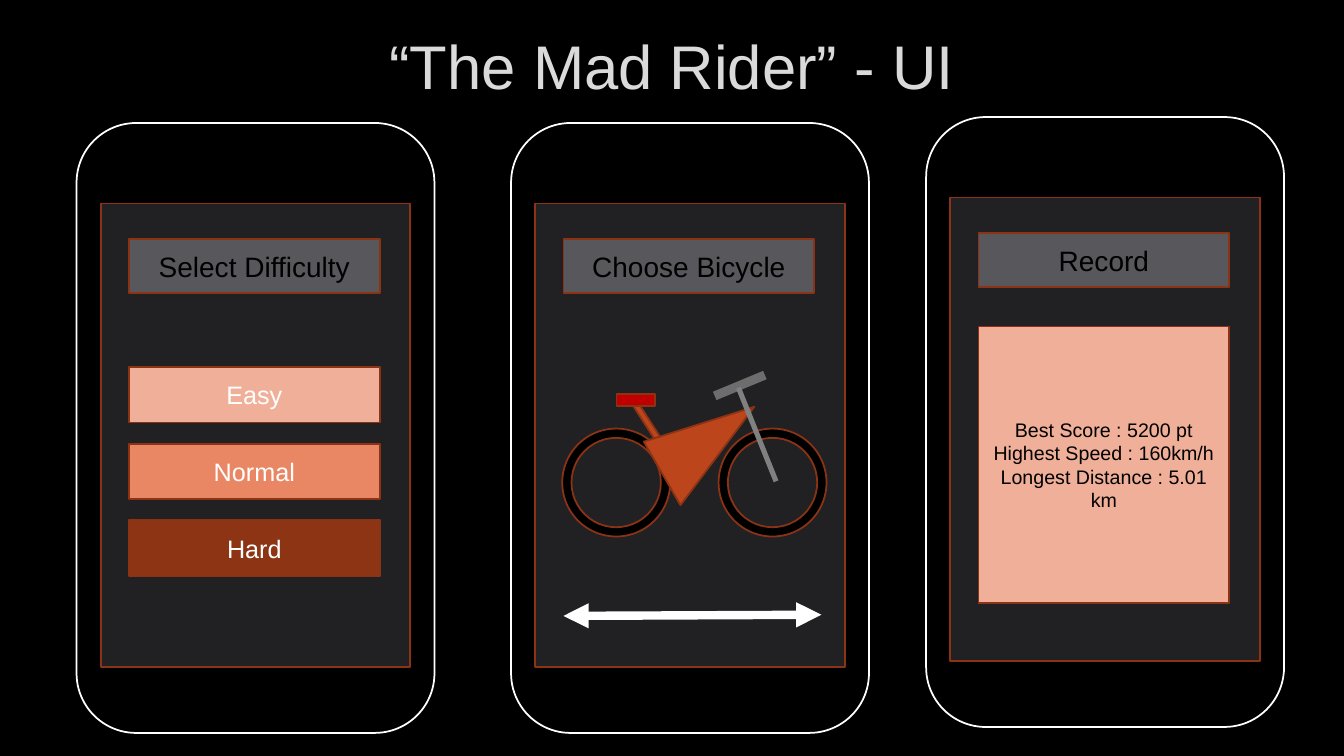
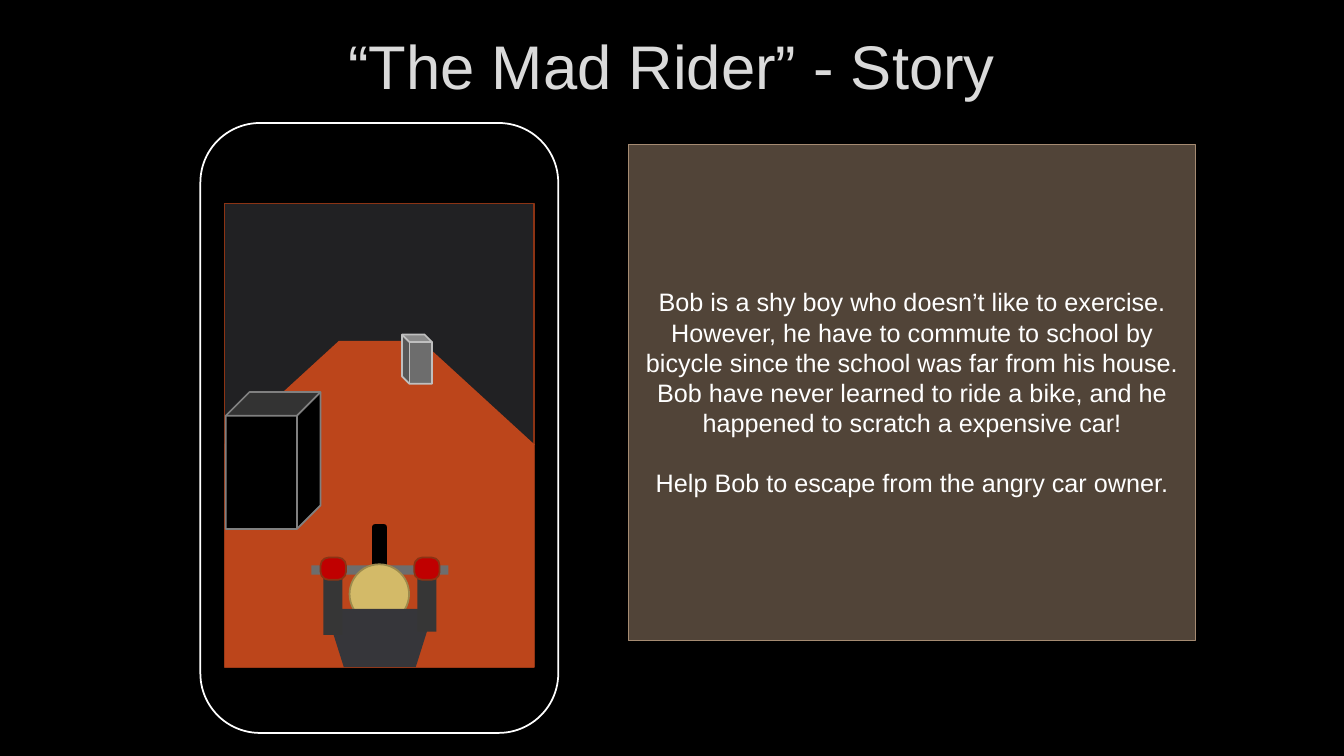
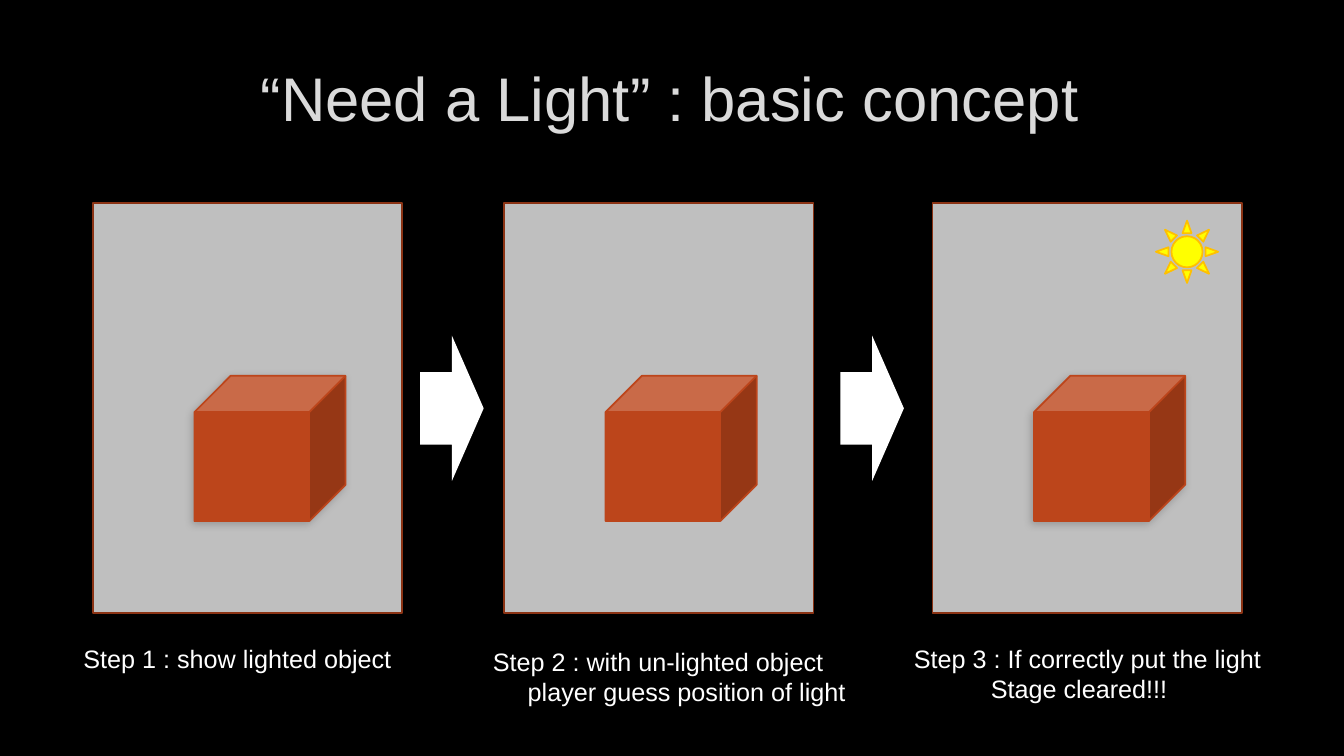
from lxml import etree
from pptx import Presentation
from pptx import util as u
from pptx.dml.color import RGBColor
from pptx.enum import shapes, text
from pptx.oxml.ns import qn

Cm, Pt = u.Cm, u.Pt
Kind = shapes.MSO_SHAPE

BLACK, WHITE, TITLE = "000000", "FFFFFF", "DADADA"
RUST, RUST_EDGE, RED = "BC451B", "8B3314", "C00000"
SCREEN, CAPTION, STEEL, GREY = "212123", "57575C", "6D6D6D", "808080"
PEACH, CORAL, BRICK = "F0AF98", "E98764", "8D3414"
JACKET, SLEEVE, SILVER = "36363A", "363636", "BFBFBF"

SLIDE_W, SLIDE_H = 33.87, 19.05
PHONE_W, PHONE_H = 9.02, 15.37
SCREEN_W, SCREEN_H = 7.8, 11.68
BUTTON_W = 6.32


def color(hex_value):
    return RGBColor.from_string(hex_value)


def child(parent, tag, **attributes):
    """Append a DrawingML element with the given attributes."""
    element = etree.SubElement(parent, qn(tag))
    for name, value in attributes.items():
        element.set(name, str(value))
    return element


class Deck:
    """Holds the shared style and the slide being filled."""

    def __init__(self):
        self.prs = Presentation()
        self.prs.slide_width, self.prs.slide_height = Cm(SLIDE_W), Cm(SLIDE_H)
        backdrop = self.prs.slide_master.background.fill
        backdrop.solid()
        backdrop.fore_color.rgb = color(BLACK)

    def new_slide(self, title, left=0, top=0.18, width=SLIDE_W, height=2.92):
        self.slide = self.prs.slides.add_slide(self.prs.slide_layouts[5])
        heading = self.slide.shapes.title
        box = dict(left=left, top=top, width=width, height=height)
        for name, value in box.items():
            setattr(heading, name, Cm(value))
        self.set_text(heading.text_frame, [title], 44, TITLE)

    def set_text(self, frame, lines, size, ink, align="CENTER", anchor="MIDDLE"):
        frame.word_wrap = True
        frame.auto_size = text.MSO_AUTO_SIZE.NONE
        frame.vertical_anchor = getattr(text.MSO_ANCHOR, anchor)
        style = dict(name="Arial", size=Pt(size), bold=False)
        for number, line in enumerate(lines):
            paragraph = frame.add_paragraph() if number else frame.paragraphs[0]
            paragraph.alignment = getattr(text.PP_ALIGN, align)
            run = paragraph.add_run()
            run.text = line
            for name, value in style.items():
                setattr(run.font, name, value)
            run.font.color.rgb = color(ink)

    def shape(self, kind, left, top, width, height, fill, edge=None, edge_width=1.25,
              turn=0, adjust=None, flip=False, opacity=None, shadow=None,
              lines=(), size=18, ink=WHITE):
        """Draw a preset shape; shadow is (opacity %, blur pt, distance pt, angle)."""
        part = self.slide.shapes.add_shape(kind, Cm(left), Cm(top), Cm(width), Cm(height))
        part.rotation = turn
        part.fill.solid()
        part.fill.fore_color.rgb = color(fill)
        if edge:
            part.line.color.rgb = color(edge)
            part.line.width = Pt(edge_width)
        else:
            part.line.fill.background()
        if adjust is not None:
            part.adjustments[0] = adjust
        part.shadow.inherit = False
        properties = part._element.spPr
        if flip:
            properties.find(qn("a:xfrm")).set("flipH", "1")
        if opacity:
            tint = properties.find(qn("a:solidFill")).find(qn("a:srgbClr"))
            child(tint, "a:alpha", val=opacity * 1000)
        if shadow:
            strength, blur, distance, angle = shadow
            cast = child(properties.find(qn("a:effectLst")), "a:outerShdw",
                         blurRad=Pt(blur), dist=Pt(distance), dir=angle * 60000,
                         rotWithShape=0)
            child(child(cast, "a:srgbClr", val=BLACK), "a:alpha", val=strength * 1000)
        if lines:
            self.set_text(part.text_frame, lines, size, ink)
        return part

    def swipe_arrow(self, x1, y1, x2, y2):
        arrow = self.slide.shapes.add_connector(
            shapes.MSO_CONNECTOR.STRAIGHT, Cm(x1), Cm(y1), Cm(x2), Cm(y2))
        arrow.line.color.rgb = color(WHITE)
        arrow.line.width = Pt(6)
        properties = arrow._element.spPr
        for end in ("a:headEnd", "a:tailEnd"):
            child(properties.find(qn("a:ln")), end, type="triangle")
        child(properties, "a:effectLst")

    def phone(self, left, top, heading=None):
        """Draw a phone with its screen and, if given, a heading bar."""
        self.shape(Kind.ROUNDED_RECTANGLE, left, top, PHONE_W, PHONE_H, BLACK, WHITE)
        self.shape(Kind.RECTANGLE, left + 0.61, top + 2.03, SCREEN_W, SCREEN_H,
                   SCREEN, RUST_EDGE)
        if heading:
            self.button(left, top + 2.92, 1.37, CAPTION, [heading], 20, BLACK)

    def button(self, phone_left, top, height, fill, lines, size=18, ink=WHITE):
        self.shape(Kind.RECTANGLE, phone_left + 1.32, top, BUTTON_W, height, fill,
                   RUST_EDGE, lines=lines, size=size, ink=ink)

    def note(self, left, top, width, first, second=None, indent=0):
        """Add a caption whose second line is indented."""
        box = self.slide.shapes.add_textbox(Cm(left), Cm(top), Cm(width), Cm(1.8))
        lines = [first, second] if second else [first]
        self.set_text(box.text_frame, lines, 18, WHITE, "LEFT", "TOP")
        if second:
            follow_up = box.text_frame.paragraphs[1]._p.get_or_add_pPr()
            follow_up.set("marL", str(Cm(indent)))


def bicycle(deck):
    for left in (18.11, 14.17):
        deck.shape(Kind.DONUT, left, 10.8, 2.72, 2.72, BLACK, RUST_EDGE, adjust=0.086)
    deck.shape(Kind.RECTANGLE, 15.52, 10.74, 1.8, 0.15, RUST, RUST_EDGE, turn=57.2)
    deck.shape(Kind.ISOSCELES_TRIANGLE, 15.85, 10.13, 3.1, 1.7, RUST, RUST_EDGE,
               turn=306.9, adjust=0.234)
    deck.shape(Kind.RECTANGLE, 17.96, 9.6, 1.37, 0.23, STEEL, turn=337.4)
    deck.shape(Kind.RECTANGLE, 15.54, 9.93, 0.97, 0.3, RED, RUST_EDGE)
    deck.shape(Kind.RECTANGLE, 19.02, 9.68, 0.13, 2.54, GREY, turn=338.1)


def ui_slide(deck):
    deck.new_slide("“The Mad Rider” - UI")
    difficulty, choice, record = 1.93, 12.88, 23.34
    deck.phone(difficulty, 3.1, "Select Difficulty")
    levels = (("Easy", PEACH), ("Normal", CORAL), ("Hard", BRICK))
    for row, (level, fill) in enumerate(levels):
        deck.button(difficulty, 9.25 + row * 1.93, 1.4, fill, [level])

    deck.phone(choice, 3.1, "Choose Bicycle")
    deck.swipe_arrow(14.2, 15.52, 20.7, 15.49)
    bicycle(deck)

    deck.phone(record, 2.95, "Record")
    scores = ["Best Score : 5200 pt", "Highest Speed : 160km/h",
              "Longest Distance : 5.01 km"]
    deck.button(record, 8.23, 6.96, PEACH, scores, 14, BLACK)


def rider(deck):
    deck.shape(Kind.ROUNDED_RECTANGLE, 9.4, 13.23, 0.33, 2.29, BLACK, BLACK)
    deck.shape(Kind.RECTANGLE, 7.85, 14.25, 3.45, 0.23, STEEL)
    deck.shape(Kind.OVAL, 8.81, 14.22, 1.5, 1.5, "D3BA68", "9C8A4D")
    deck.shape(Kind.TRAPEZOID, 8.2, 15.34, 2.74, 1.47, JACKET, turn=180, adjust=0.315)
    for left, length in ((8.15, 1.45), (10.52, 1.37)):
        deck.shape(Kind.RECTANGLE, left, 14.55, 0.48, length, SLEEVE)
    for left in (8.08, 10.44):
        deck.shape(Kind.ROUNDED_RECTANGLE, left, 14.05, 0.64, 0.56, RED, RUST_EDGE,
                   adjust=0.358)


def story_slide(deck):
    deck.new_slide("“The Mad Rider” - Story")
    deck.phone(5.05, 3.1)
    deck.shape(Kind.RECTANGLE, 5.66, 11.18, SCREEN_W, 5.64, RUST)
    deck.shape(Kind.TRAPEZOID, 5.68, 8.59, SCREEN_W, 2.62, RUST, adjust=1.092)
    rider(deck)
    deck.shape(Kind.CUBE, 5.69, 9.88, 2.39, 3.45, BLACK, GREY)
    deck.shape(Kind.CUBE, 10.13, 8.43, 0.76, 1.24, STEEL, SILVER, flip=True)
    story = [
        "Bob is a shy boy who doesn’t like to exercise.",
        "However, he have to commute to school by bicycle since the school was far "
        "from his house.",
        "Bob have never learned to ride a bike, and he happened to scratch a "
        "expensive car!",
        "Help Bob to escape from the angry car owner.",
    ]
    panel = deck.shape(Kind.RECTANGLE, 15.85, 3.63, 14.27, 12.5, "AD9277", "A58B72", 0.75,
                       opacity=47, shadow=(60, 5, 2, 90), lines=story)
    panel.text_frame.paragraphs[-1].space_before = Pt(21)


def concept_slide(deck):
    deck.new_slide("“Need a Light” : basic concept", 2.51, 1.09, 28.75, 2.69)
    lit = (20, 6, 2, 135)
    for left, shadow in ((2.34, lit), (12.7, None), (23.5, lit)):
        deck.shape(Kind.RECTANGLE, left, 5.11, SCREEN_W, 10.34, SILVER, RUST_EDGE)
        deck.shape(Kind.CUBE, left + 2.56, 9.47, 3.81, 3.66, RUST, RUST, shadow=shadow)
    for left in (10.59, 21.18):
        deck.shape(Kind.RIGHT_ARROW, left, 8.46, 1.6, 3.66, WHITE)
    deck.shape(Kind.SUN, 29.13, 5.56, 1.57, 1.57, "FFFF00", "FFC000")
    deck.note(1.85, 16.08, 8.71, "Step 1 : show lighted object")
    deck.note(12.17, 16.15, 10.16, "Step 2 : with un-lighted object",
              "player guess position of light", 0.88)
    deck.note(22.78, 16.08, 10.13, "Step 3 : If correctly put the light",
              "Stage cleared!!!", 1.94)


def main():
    deck = Deck()
    for build in (ui_slide, story_slide, concept_slide):
        build(deck)
    deck.prs.save("out.pptx")


if __name__ == "__main__":
    main()
